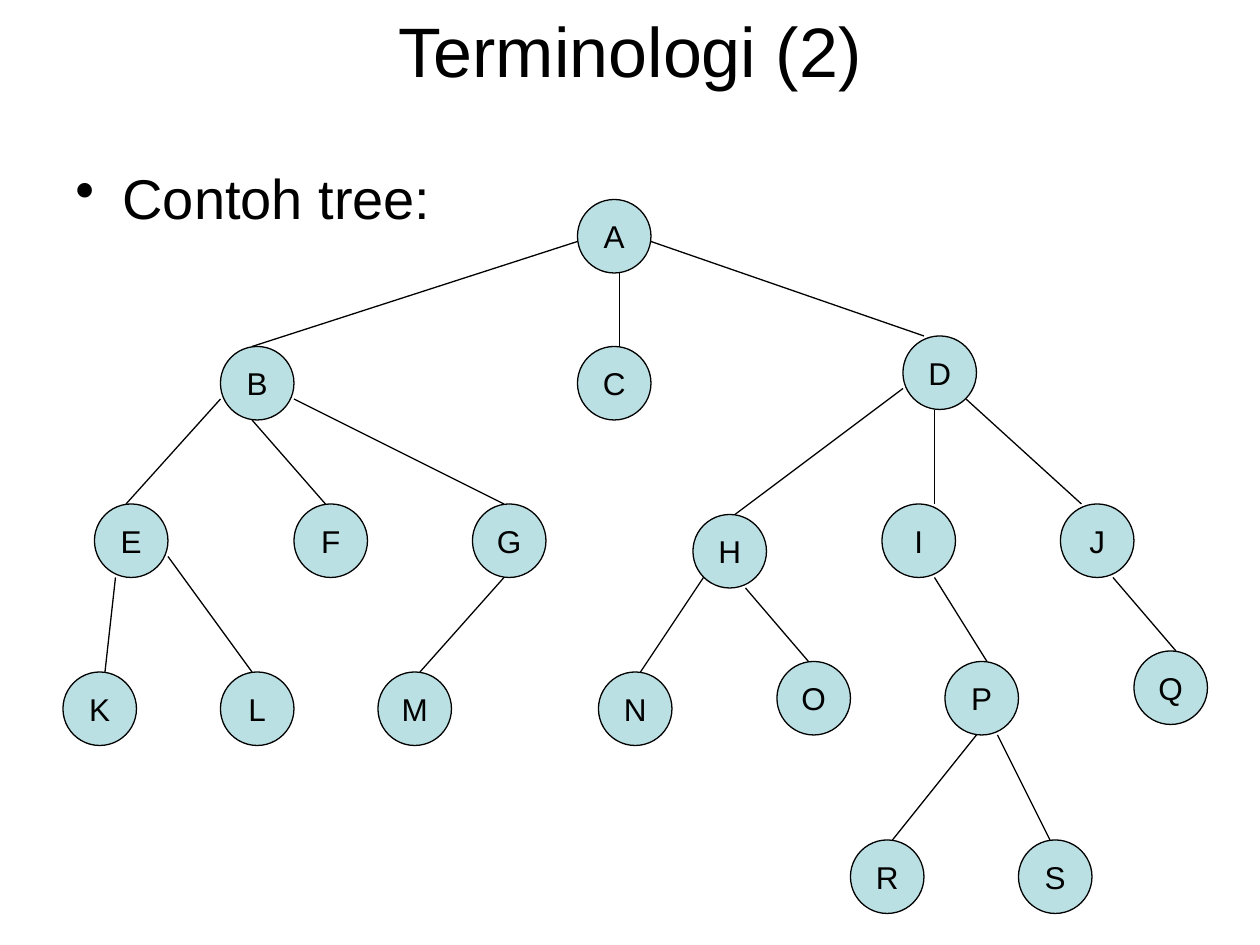
from lxml import etree
from pptx import Presentation
from pptx.dml.color import RGBColor
from pptx.enum.shapes import MSO_CONNECTOR, MSO_SHAPE
from pptx.enum.text import MSO_ANCHOR, PP_ALIGN
from pptx.oxml.ns import qn
from pptx.util import Cm, Pt

OVAL = MSO_SHAPE.OVAL
STRAIGHT = MSO_CONNECTOR.STRAIGHT
MIDDLE, TOP = MSO_ANCHOR.MIDDLE, MSO_ANCHOR.TOP
CENTER, LEFT = PP_ALIGN.CENTER, PP_ALIGN.LEFT

COLORS = {"ink": "000000", "node": "BBE0E3"}
FONT = "Arial"
TITLE = "Terminologi (2)"
BULLET = "Contoh tree:"

GRID = 2.54 / 12
NODE_SIZE = 7
NODES = {
    "A": (55, 19),
    "B": (21, 33), "C": (55, 33), "D": (86, 32),
    "E": (9, 48), "F": (28, 48), "G": (45, 48),
    "H": (66, 49), "I": (84, 48), "J": (101, 48),
    "K": (6, 64), "L": (21, 64), "M": (36, 64), "N": (57, 64),
    "O": (74, 63), "P": (90, 63), "Q": (108, 62),
    "R": (81, 80), "S": (97, 80),
}
# Each branch: parent, child, exit offset in parent, entry offset in child
BRANCHES = [
    ("A", "B", (0, 4), (3, 0)), ("A", "C", (4, 7), (4, 0)),
    ("A", "D", (7, 4), (2, 0)),
    ("B", "E", (0, 5), (3, 0)), ("B", "F", (3, 7), (3, 0)),
    ("B", "G", (7, 5), (3, 0)),
    ("D", "H", (0, 5), (4, 0)), ("D", "I", (3, 7), (5, 0)),
    ("D", "J", (6, 6), (2, 0)),
    ("E", "K", (2, 7), (4, 0)), ("E", "L", (7, 5), (3, 0)),
    ("G", "M", (3, 7), (4, 0)),
    ("H", "N", (1, 6), (4, 0)), ("H", "O", (5, 7), (3, 0)),
    ("I", "P", (5, 7), (4, 0)), ("J", "Q", (5, 7), (4, 0)),
    ("P", "R", (3, 7), (4, 0)), ("P", "S", (5, 7), (3, 0)),
]


def color(name):
    return RGBColor.from_string(COLORS[name])


def grid(units):
    return Cm(units * GRID)


def write(shape, text, size, align, anchor, wrap):
    frame = shape.text_frame
    frame.word_wrap = wrap
    frame.vertical_anchor = anchor
    para = frame.paragraphs[0]
    para.text = text
    para.alignment = align
    para.font.name = FONT
    para.font.size = Pt(size)
    para.font.color.rgb = color("ink")
    return para


def outline(shape):
    shape.line.color.rgb = color("ink")
    shape.line.width = Pt(0.75)


def add_bullet(para):
    props = para._p.get_or_add_pPr()
    props.set("marL", str(Cm(0.95)))
    props.set("indent", str(-Cm(0.95)))
    mark = etree.Element(qn("a:buChar"), char="•")
    props.insert(0, mark)


def add_node(page, label, corner):
    node = page.shapes.add_shape(
        OVAL, *map(grid, corner), grid(NODE_SIZE), grid(NODE_SIZE))
    node.shadow.inherit = False
    node.fill.solid()
    node.fill.fore_color.rgb = color("node")
    outline(node)
    write(node, label, 18, CENTER, MIDDLE, False)


def add_branch(page, parent, child, leave, enter):
    start = [grid(a + b) for a, b in zip(NODES[parent], leave)]
    end = [grid(a + b) for a, b in zip(NODES[child], enter)]
    branch = page.shapes.add_connector(STRAIGHT, *start, *end)
    outline(branch)
    etree.SubElement(branch._element.spPr, qn("a:effectLst"))


def main():
    deck = Presentation()
    deck.slide_width, deck.slide_height = Cm(25.4), Cm(19.05)
    page = deck.slides.add_slide(deck.slide_layouts[6])

    title = page.shapes.add_textbox(Cm(1.27), Cm(0), Cm(22.86), Cm(1.98))
    write(title, TITLE, 40, CENTER, MIDDLE, True)
    body = page.shapes.add_textbox(Cm(1.27), Cm(3.18), Cm(24.13), Cm(15.24))
    add_bullet(write(body, BULLET, 32, LEFT, TOP, True))

    for label, corner in NODES.items():
        add_node(page, label, corner)
    for branch in BRANCHES:
        add_branch(page, *branch)
    deck.save("out.pptx")


if __name__ == "__main__":
    main()
